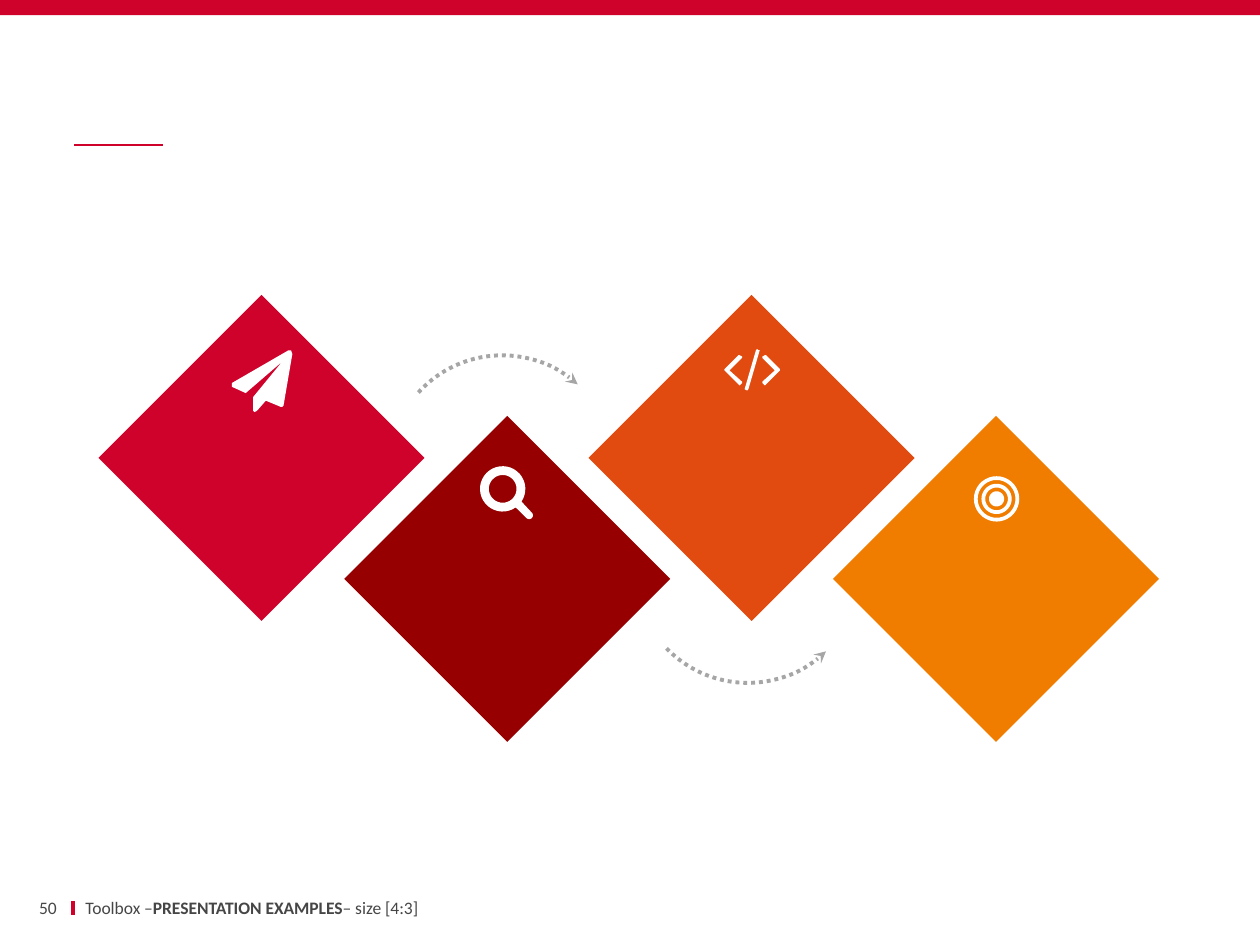
from math import cos, radians, sin

from lxml import etree
from pptx import Presentation
from pptx.dml.color import RGBColor
from pptx.enum.dml import MSO_LINE
from pptx.enum.shapes import MSO_CONNECTOR, MSO_SHAPE
from pptx.enum.text import MSO_ANCHOR, PP_ALIGN
from pptx.oxml.ns import qn
from pptx.util import Inches, Pt

RECT, ARC = MSO_SHAPE.RECTANGLE, MSO_SHAPE.ARC
STRAIGHT = MSO_CONNECTOR.STRAIGHT
DOTS = MSO_LINE.ROUND_DOT
MIDDLE = MSO_ANCHOR.MIDDLE
LEFT, RIGHT = PP_ALIGN.LEFT, PP_ALIGN.RIGHT
RED = RGBColor(0xCF, 0x02, 0x2B)
DARK = RGBColor(0x96, 0x00, 0x00)
RUST = RGBColor(0xE1, 0x4B, 0x0F)
AMBER = RGBColor(0xF0, 0x7D, 0x00)
GREY = RGBColor(0xA6, 0xA6, 0xA6)
TEXT = RGBColor(0x46, 0x46, 0x46)
WHITE = RGBColor(0xFF, 0xFF, 0xFF)

prs = Presentation()
prs.slide_width, prs.slide_height = Inches(10), Inches(7.5)
slide = prs.slides.add_slide(prs.slide_layouts[6])
shapes = slide.shapes


def curve(x, y, r, start=0, end=360):
    """Return points along a circle, with angles clockwise from the right."""
    steps = 36
    angles = [radians(start + (end - start) * i / steps) for i in range(steps + 1)]
    return [(x + r * cos(a), y + r * sin(a)) for a in angles]


def draw_icon(outlines):
    """Draw one white freeform; an outline inside another cuts a hole."""
    pen = None
    for outline in outlines:
        pts = [(Inches(x), Inches(y)) for x, y in outline]
        if pen is None:
            pen = shapes.build_freeform(*pts[0])
        else:
            pen.move_to(*pts[0])
        pen.add_line_segments(pts[1:], close=True)
    icon = pen.convert_to_shape()
    icon.shadow.inherit = False
    icon.fill.solid()
    icon.fill.fore_color.rgb = WHITE
    icon.line.fill.background()


# Rules of the page
for x1, y1, x2, y2, width in [(0.58, 7.15, 0.58, 7.26, 2.25), (0.59, 1.15, 1.29, 1.15, 1)]:
    rule = shapes.add_connector(STRAIGHT, Inches(x1), Inches(y1), Inches(x2), Inches(y2))
    rule.line.color.rgb = RED
    rule.line.width = Pt(width)
    etree.SubElement(rule._element.spPr, qn("a:effectLst"))

# Top band and the four diamonds
for x, y, w, h, turn, color in [
    (0, 0, 10, 0.12, 0, RED),
    (1.16, 2.72, 1.83, 1.83, 45, RED),
    (3.11, 3.68, 1.83, 1.83, 45, DARK),
    (5.05, 2.72, 1.83, 1.83, 45, RUST),
    (6.99, 3.68, 1.83, 1.83, 45, AMBER),
]:
    block = shapes.add_shape(RECT, Inches(x), Inches(y), Inches(w), Inches(h))
    block.rotation = turn
    block.shadow.inherit = False
    block.fill.solid()
    block.fill.fore_color.rgb = color
    block.line.fill.background()

# Dotted arrows from one diamond to the next
for x, y, turn, flip in [(3.09, 2.82, 312.1, False), (5.04, 3.63, 46.1, True)]:
    arrow = shapes.add_shape(ARC, Inches(x), Inches(y), Inches(1.79), Inches(1.79))
    arrow.rotation = turn
    arrow.shadow.inherit = False
    arrow.fill.background()
    arrow.line.color.rgb = GREY
    arrow.line.width = Pt(2.25)
    arrow.line.dash_style = DOTS
    etree.SubElement(arrow.line._ln, qn("a:tailEnd"), type="stealth")
    if flip:
        arrow._element.spPr.xfrm.set("flipV", "1")

# Paper plane
draw_icon([[
    (2.32, 2.81), (2.25, 3.22), (2.24, 3.23), (2.23, 3.23), (2.11, 3.18),
    (2.04, 3.26), (2.02, 3.27), (2.01, 3.26), (2.01, 3.15), (2.24, 2.87),
    (1.95, 3.12), (1.84, 3.07), (1.84, 3.04), (2.29, 2.78), (2.31, 2.78),
]])

# Code brackets: the right one mirrors the left one
bracket = [
    (5.87, 3.06), (5.86, 3.05), (5.75, 2.94), (5.75, 2.93), (5.86, 2.82), (5.87, 2.82),
    (5.89, 2.83), (5.89, 2.84), (5.79, 2.94), (5.89, 3.03), (5.89, 3.04),
]
slash = [
    (5.94, 3.09), (5.93, 3.1), (5.91, 3.09), (6, 2.78), (6.01, 2.77), (6.02, 2.78), (6.03, 2.78),
]
mirror = [(5.97 * 2 - x, y) for x, y in bracket]
draw_icon([bracket, slash, mirror])

# Magnifier: rim with a round-ended handle, and the lens
rim = curve(3.99, 3.88, 0.18, 55, 394)
handle = curve(4.2, 4.09, 0.03, -45, 135)
draw_icon([rim + handle, curve(3.99, 3.88, 0.11)])

# Target
draw_icon([curve(7.91, 3.96, r) for r in (0.18, 0.15, 0.12, 0.09, 0.06)])

# Footer
for x, w, inset, align, parts in [
    (0.13, 0.32, 0, RIGHT, [("50", False)]),
    (0.58, 4.97, 0.1, LEFT,
     [("Toolbox –", False), ("PRESENTATION EXAMPLES", True), ("– size [4:3]", False)]),
]:
    box = shapes.add_textbox(Inches(x), Inches(7.11), Inches(w), Inches(0.18))
    frame = box.text_frame
    frame.word_wrap = True
    frame.vertical_anchor = MIDDLE
    frame.margin_left = frame.margin_right = Inches(inset)
    para = frame.paragraphs[0]
    para.alignment = align
    para.font.name = "Calibri"
    para.font.size = Pt(10)
    para.font.color.rgb = TEXT
    for words, bold in parts:
        run = para.add_run()
        run.text = words
        run.font.bold = bold

prs.save("out.pptx")
